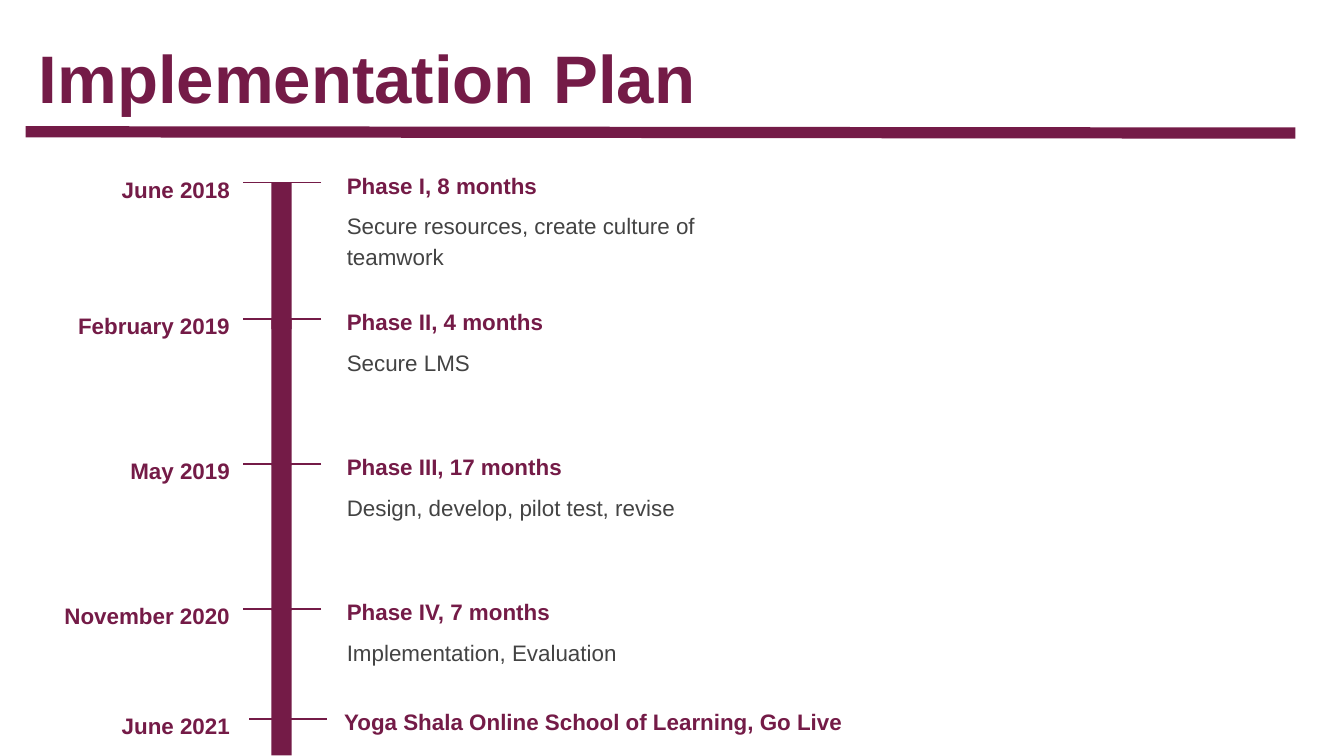
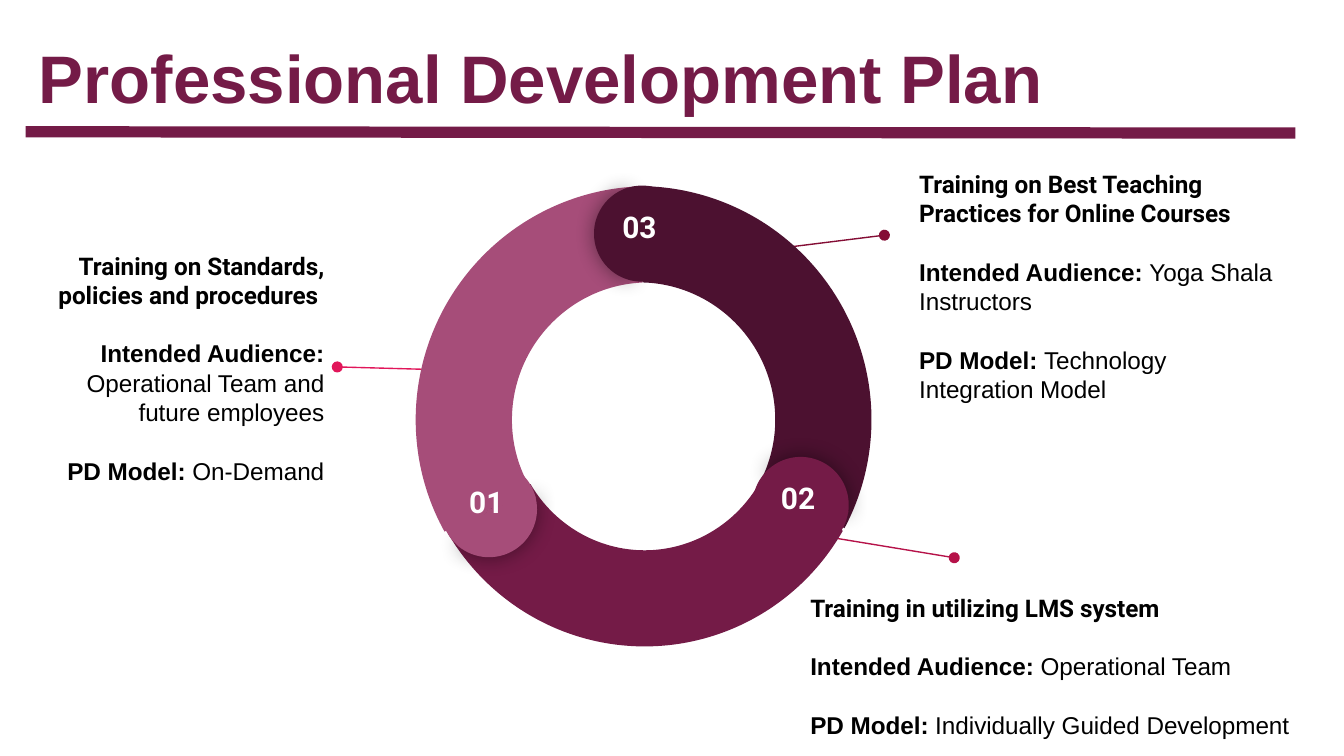
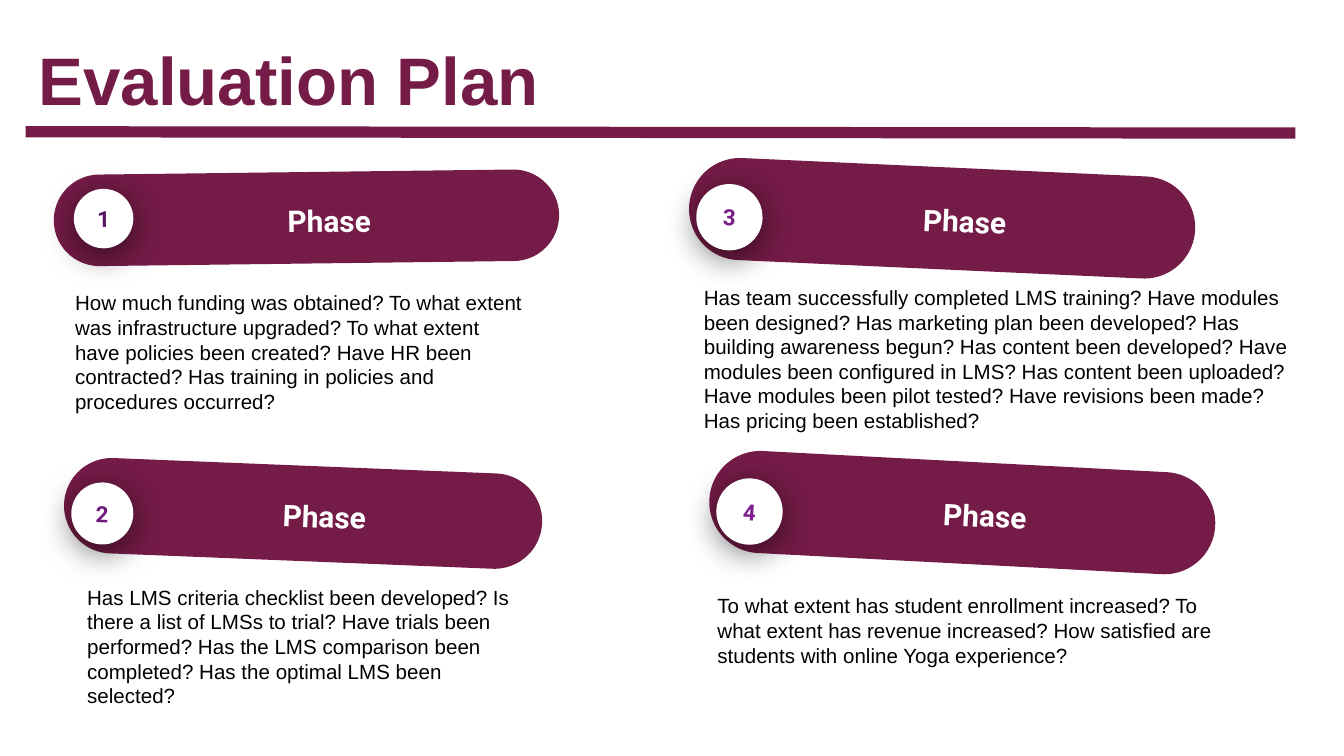
from lxml.etree import SubElement
from pptx import Presentation
from pptx.dml.color import RGBColor
from pptx.enum.shapes import MSO_CONNECTOR, MSO_SHAPE
from pptx.enum.text import MSO_ANCHOR, PP_ALIGN
from pptx.oxml.ns import qn
from pptx.util import Pt

PLUM = RGBColor(0x74, 0x1B, 0x47)
DARK_PLUM = RGBColor(0x4C, 0x11, 0x30)
MAUVE = RGBColor(0xA6, 0x4D, 0x79)
PINK = RGBColor(0xE1, 0x16, 0x5A)
CRIMSON = RGBColor(0x84, 0x0D, 0x35)
RUBY = RGBColor(0xB6, 0x12, 0x49)
VIOLETS = [RGBColor(0x55, 0x15, 0x61), RGBColor(0x70, 0x1C, 0x7F),
           RGBColor(0x76, 0x1E, 0x86), RGBColor(0x7F, 0x20, 0x90)]
GREY = RGBColor(0x43, 0x43, 0x43)
BLACK = RGBColor(0, 0, 0)
WHITE = RGBColor(0xFF, 0xFF, 0xFF)
SANS, HEAD = "Arial", "Roboto"
INSET = 7.2
LEFT, CENTER, RIGHT = PP_ALIGN.LEFT, PP_ALIGN.CENTER, PP_ALIGN.RIGHT
TOP, MIDDLE = MSO_ANCHOR.TOP, MSO_ANCHOR.MIDDLE


def pts(*values):
    """Turn numbers of points into lengths."""
    return [Pt(v) for v in values]


def set_frame(tf, anchor=TOP):
    """Give a text frame wrapping, insets and an anchor."""
    tf.word_wrap = True
    tf.vertical_anchor = anchor
    tf.margin_left, tf.margin_top, tf.margin_right, tf.margin_bottom = pts(*[INSET] * 4)


def add_run(p, text, size, color, bold=False, font=SANS):
    """Append one styled run to a paragraph."""
    r = p.add_run()
    r.text = text
    r.font.size, r.font.bold, r.font.name = Pt(size), bold, font
    r.font.color.rgb = color


def add_text(shapes, box, text, size, color, bold=False, font=SANS,
             align=LEFT, anchor=TOP, spacing=None):
    """Place a text box with a single run."""
    sp = shapes.add_textbox(*pts(*box))
    set_frame(sp.text_frame, anchor)
    p = sp.text_frame.paragraphs[0]
    p.alignment, p.line_spacing = align, spacing
    add_run(p, text, size, color, bold, font)
    return sp


def add_solid(shapes, kind, box, color, rotation=0, adjust=(), shadow=None):
    """Place a filled shape; shadow is opacity %, blur, distance and direction."""
    sp = shapes.add_shape(kind, *pts(*box))
    sp.rotation = rotation
    for i, value in enumerate(adjust):
        sp.adjustments[i] = value
    sp.fill.solid()
    sp.fill.fore_color.rgb = color
    sp.line.fill.background()
    sp.shadow.inherit = False
    if shadow:
        opacity, blur, dist, angle = shadow
        effects = sp.element.spPr.find(qn("a:effectLst"))
        outer = SubElement(effects, qn("a:outerShdw"), blurRad=str(Pt(blur)), dist=str(Pt(dist)),
                           dir=str(angle * 60000), algn="bl", rotWithShape="0")
        clr = SubElement(outer, qn("a:srgbClr"), val=str(BLACK))
        SubElement(clr, qn("a:alpha"), val=str(opacity * 1000))
    return sp


def add_line(shapes, ends, color, width=0.75, dot=False):
    """Draw a straight line, optionally ending in a dot."""
    cx = shapes.add_connector(MSO_CONNECTOR.STRAIGHT, *pts(*ends))
    cx.line.color.rgb = color
    cx.line.width = Pt(width)
    if dot:
        SubElement(cx.line._get_or_add_ln(), qn("a:tailEnd"), type="oval")
    SubElement(cx.element.spPr, qn("a:effectLst"))


def add_titled_slide(prs, title, top=8.6):
    """Add a blank slide with the shared title and rule."""
    s = prs.slides.add_slide(prs.slide_layouts[6])
    add_line(s.shapes, (13.7, 70.6, 694, 71.3), PLUM, 6)
    sp = add_text(s.shapes, (13.7, top, 671, 45.4), title, 36, PLUM, True)
    sp.text_frame.margin_top = Pt(10.8)
    return s


def milestone(shapes, box, date, phase, task=None, shift=0):
    """Draw a date, tick and phase, with a bar when there is a task."""
    x, y, w, h = box
    if task:
        add_solid(shapes, MSO_SHAPE.RECTANGLE, (x + 131.7, y, 10.8, h), PLUM)
        add_text(shapes, (x + 165, y + 6.6, 214.6, 32.4), task, 12, GREY, spacing=1.15)
    add_line(shapes, (x + 158.4 + shift, y, x + 116.6 + shift, y), PLUM)
    add_text(shapes, (x, y - 13, 116.6, 27.4), date, 12, PLUM, True, align=RIGHT, spacing=1.15)
    add_text(shapes, (x + 165 - shift / 2, y - 15.1, w - 165, 21.6), phase, 12, PLUM, True,
             spacing=1.15)


def implementation_slide(prs):
    """Build the timeline of phases."""
    s = add_titled_slide(prs, "Implementation Plan")
    phases = [
        (97.9, "June 2018", "Phase I, 8 months", "Secure resources, create culture of teamwork"),
        (170.9, "February 2019", "Phase II, 4 months", "Secure LMS"),
        (248.6, "May 2019", "Phase III, 17 months", "Design, develop, pilot test, revise"),
        (326.2, "November 2020", "Phase IV, 7 months", "Implementation, Evaluation"),
    ]
    for y, *texts in phases:
        milestone(s.shapes.add_group_shape().shapes, (13.7, y, 379.6, 78.5), *texts)
    milestone(s.shapes, (13.7, 385.2, 493, 0), "June 2021",
              "Yoga Shala Online School of Learning, Go Live", shift=2.9)


def training(shapes, box, heading, audience, model, leader, color, align=LEFT, anchor=TOP):
    """Write one training's details and draw its leader line."""
    sp = shapes.add_textbox(*pts(*box))
    tf = sp.text_frame
    set_frame(tf, anchor)
    p = tf.paragraphs[0]
    p.alignment, p.space_after = align, Pt(15.7)
    add_run(p, heading, 13, BLACK, True, HEAD)
    for label, value in (("Intended Audience: ", audience), ("PD Model: ", model)):
        p = tf.add_paragraph()
        p.alignment = align
        add_run(p, label, 13, BLACK, True)
        add_run(p, value, 13, BLACK)
    p.space_before = p.space_after = Pt(16)
    add_line(shapes, leader, color, dot=True)


def ring(shapes, box):
    """Draw the three-part ring with its numbered caps."""
    x, y, w, h = box
    arcs = [(0, 3, w, h - 3, 60, DARK_PLUM), (3, 0, w - 3, h, 180, PLUM),
            (2, 3, w, h - 3, 300, MAUVE)]
    for dx, dy, aw, ah, rotation, color in arcs:
        add_solid(shapes, MSO_SHAPE.BLOCK_ARC, (x + dx, y + dy, aw, ah), color, rotation,
                  (126.23, 197.2, 0.21))
    caps = [("01 ", 16.6, 149.1, 240, MAUVE), ("03 ", 98.6, 1.5, 0, DARK_PLUM),
            ("02 ", 183.6, 146.9, 120, PLUM)]
    for number, dx, dy, rotation, color in caps:
        cap = (x + dx, y + dy, 51.5, 51.5)
        add_solid(shapes, MSO_SHAPE.PIE, cap, color, rotation + 0.7, (61.9, 149.96),
                  (43, 11.2, 0, 0))
        add_solid(shapes, MSO_SHAPE.PIE, cap, color, rotation + 180, (40.28, 171.84))
    for number, dx, dy, rotation, color in caps:
        add_text(shapes, (x + dx + 4, y + dy + 5, 44.6, 23.8), number, 16, WHITE, True, HEAD,
                 CENTER)


def development_slide(prs):
    """Build the ring of trainings."""
    s = add_titled_slide(prs, "Professional Development Plan")
    trainings = [
        ((13.7, 136, 167, 122.4), "Training on Standards, policies and procedures ",
         "Operational Team and future employees", "On-Demand",
         (257.8, 198.7, 180.7, 196.6), PINK, RIGHT, MIDDLE),
        ((485.3, 83.5, 209.5, 122.4), "Training on Best Teaching Practices for Online Courses",
         "Yoga Shala Instructors", "Technology Integration Model",
         (410.4, 133.9, 473.8, 126), CRIMSON),
        ((427, 303.8, 288, 106.6), "Training in utilizing LMS system",
         "Operational Team", "Individually Guided Development",
         (410.4, 282.2, 511.2, 298.8), RUBY, LEFT, MIDDLE),
    ]
    for details in trainings:
        training(s.shapes.add_group_shape().shapes, *details)
    ring(s.shapes.add_group_shape().shapes, (219.6, 97.9, 248.4, 248.4))


def phase_pill(shapes, box, number, tilt, badge_dx, color):
    """Draw a tilted pill with a numbered badge and its label."""
    x, y, w, h = box
    upright = (x + (w - h) / 2, y + (h - w) / 2, h, w)
    add_solid(shapes, MSO_SHAPE.ROUNDED_RECTANGLE, upright, PLUM, 90 + tilt, (0.5,))
    size = 0.65 * h
    sp = add_solid(shapes, MSO_SHAPE.OVAL, (x + badge_dx, y + 9, size, size), WHITE, tilt,
                   shadow=(55, 18, 4, 90))
    set_frame(sp.text_frame, MIDDLE)
    p = sp.text_frame.paragraphs[0]
    p.alignment = CENTER
    add_run(p, str(number), 12, color, True, HEAD)
    sp = add_text(shapes, (x + 0.16 * w, y + 0.15 * h, 0.77 * w, 0.7 * h), "Phase", 16, WHITE,
                  True, HEAD, CENTER, MIDDLE, 1.15)
    sp.rotation = tilt


def evaluation_slide(prs):
    """Build the four phases with their evaluation questions."""
    s = add_titled_slide(prs, "Evaluation Plan", 10)
    phases = [
        ((28.8, 92.2, 270.7, 49), -0.7, 10.8, (33.1, 148.3, 257.8, 76.3), TOP,
         "How much funding was obtained? To what extent was infrastructure upgraded? "
         "To what extent have policies been created? Have HR been contracted? "
         "Has training in policies and procedures occurred?"),
        ((34.2, 249.5, 256.3, 51.1), 2.3, 4, (39.6, 295.2, 250.6, 102.2), MIDDLE,
         "Has LMS criteria checklist been developed? Is there a list of LMSs to trial? "
         "Have trials been performed? Has the LMS comparison been completed? "
         "Has the optimal LMS been selected?"),
        ((369, 89.6, 271.4, 54.7), 2.6, 4, (370, 145.4, 336.2, 87.1), TOP,
         "Has team successfully completed LMS training? Have modules been designed? "
         "Has marketing plan been developed? Has building awareness begun? "
         "Has content been developed? Have modules been configured in LMS? "
         "Has content been uploaded? Have modules been pilot tested? "
         "Have revisions been made? Has pricing been established?"),
        ((379.8, 247.3, 271.4, 54.7), 3, 4, (377.3, 295.2, 283, 85), MIDDLE,
         "To what extent has student enrollment increased? To what extent has revenue "
         "increased? How satisfied are students with online Yoga experience?"),
    ]
    for i, (pill, tilt, badge_dx, box, anchor, questions) in enumerate(phases):
        phase_pill(s.shapes.add_group_shape().shapes, pill, i + 1, tilt, badge_dx, VIOLETS[i])
        sp = add_text(s.shapes, box, questions, 11, BLACK, anchor=anchor)
        if anchor == MIDDLE:
            sp.text_frame.paragraphs[0].space_after = Pt(10)


def main():
    """Build and save the three slides."""
    prs = Presentation()
    prs.slide_width, prs.slide_height = pts(720, 405)
    implementation_slide(prs)
    development_slide(prs)
    evaluation_slide(prs)
    prs.save("out.pptx")


if __name__ == "__main__":
    main()
